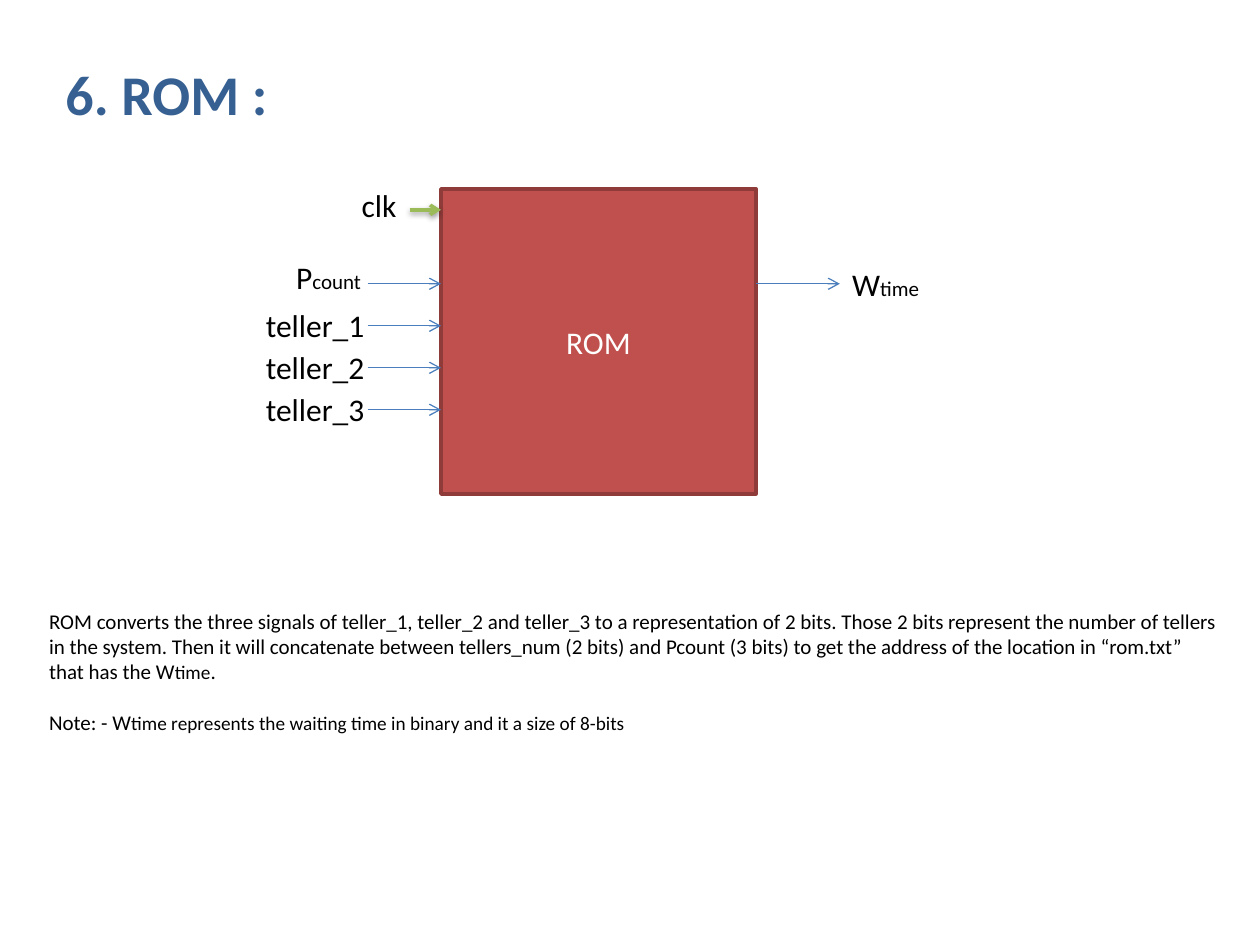
"""Build the ROM block diagram slide with its signals and description."""
import pptx
import pptx.dml.color
import pptx.enum.shapes
import pptx.enum.text
import pptx.oxml
import pptx.oxml.ns
import pptx.util

Cm = pptx.util.Cm
Pt = pptx.util.Pt

THEME = {
    "font": "Calibri",
    "title": "376092", "text": "000000", "light": "FFFFFF",
    "block": "C0504D", "border": "8E3B39", "signal": "4B7EBC", "clock": "9BBB59",
    "title_size": 32, "label_size": 18, "body_size": 12, "small_size": 11,
}
DRAWING = pptx.oxml.ns.nsdecls("a")
SHADOW = (
    '<a:outerShdw blurRad="40000" dist="20000" dir="5400000" rotWithShape="0">'
    '<a:srgbClr val="000000"><a:alpha val="38000"/></a:srgbClr></a:outerShdw>'
)


def add_spans(para, spans, color="text", bold=False):
    for text, size in spans:
        span = para.add_run()
        span.text = text
        span.font.name = THEME["font"]
        span.font.size = Pt(THEME[size])
        span.font.bold = bold
        span.font.color.rgb = pptx.dml.color.RGBColor.from_string(THEME[color])


def add_text(left, top, width, height, paragraphs, color="text", bold=False):
    box = slide.shapes.add_textbox(Cm(left), Cm(top), Cm(width), Cm(height))
    frame = box.text_frame
    frame.word_wrap = False
    frame.auto_size = pptx.enum.text.MSO_AUTO_SIZE.SHAPE_TO_FIT_TEXT
    for index, spans in enumerate(paragraphs):
        para = frame.add_paragraph() if index else frame.paragraphs[0]
        add_spans(para, spans, color, bold)
    return frame


deck = pptx.Presentation()
deck.slide_width, deck.slide_height = Cm(25.4), Cm(19.05)
slide = deck.slides.add_slide(deck.slide_layouts[6])

add_text(1.07, 1.07, 4.62, 1.62, [[("6. ROM :", "title_size")]], "title", True)

block_left, block_right = 8.89, 15.24
block = slide.shapes.add_shape(
    pptx.enum.shapes.MSO_SHAPE.RECTANGLE,
    Cm(block_left), Cm(3.81), Cm(block_right - block_left), Cm(6.15))
block.shadow.inherit = False
block.fill.solid()
block.fill.fore_color.rgb = pptx.dml.color.RGBColor.from_string(THEME["block"])
block.line.color.rgb = pptx.dml.color.RGBColor.from_string(THEME["border"])
block.line.width = Pt(2)
block.text_frame.vertical_anchor = pptx.enum.text.MSO_ANCHOR.MIDDLE
block_para = block.text_frame.paragraphs[0]
block_para.alignment = pptx.enum.text.PP_ALIGN.CENTER
add_spans(block_para, [("ROM", "label_size")], "light")

input_left, first_input, input_step = 7.41, 5.72, 0.847
arrows = [(8.26, block_left, 4.23, "clock", 2, SHADOW)]
for index in range(4):
    arrows.append((input_left, block_left, first_input + index * input_step, "signal", 0.75, ""))
arrows.append((block_right, 16.93, first_input, "signal", 0.75, ""))

for start, end, height, color, weight, effect in arrows:
    arrow = slide.shapes.add_connector(
        pptx.enum.shapes.MSO_CONNECTOR.STRAIGHT, Cm(start), Cm(height), Cm(end), Cm(height))
    arrow.line.color.rgb = pptx.dml.color.RGBColor.from_string(THEME[color])
    arrow.line.width = Pt(weight)
    arrow.line._get_or_add_ln().append(
        pptx.oxml.parse_xml(f'<a:tailEnd {DRAWING} type="arrow"/>'))
    arrow._element.spPr.append(
        pptx.oxml.parse_xml(f"<a:effectLst {DRAWING}>{effect}</a:effectLst>"))

labels = [
    (7.04, 3.63, 1.22, [("clk", "label_size")]),
    (5.72, 5.08, 1.83, [("P", "label_size"), ("count", "body_size")]),
    (16.93, 5.21, 1.88, [("W", "label_size"), ("time", "body_size")]),
]
for index in range(3):
    labels.append((5.11, 6.04 + index * input_step, 2.51, [(f"teller_{index + 1}", "label_size")]))
for left, top, width, spans in labels:
    add_text(left, top, width, 1.02, [spans])

description = add_text(0.74, 12.14, 24.33, 2.82, [
    [("ROM converts the three signals of teller_1, teller_2 and teller_3 to a representation "
      "of 2 bits. Those 2 bits represent the number of tellers ", "body_size")],
    [("in the system. Then it will concatenate between tellers_num (2 bits) and Pcount (3 bits) "
      "to get the address of the location in “rom.txt”", "body_size")],
    [("that has the W", "body_size"), ("time", "small_size"), (".", "body_size")],
    [("Note: - W", "body_size"),
     ("time represents the waiting time in binary and it a size of 8-bits", "small_size")],
])
description.paragraphs[-1].space_before = Pt(14.5)

deck.save("out.pptx")
